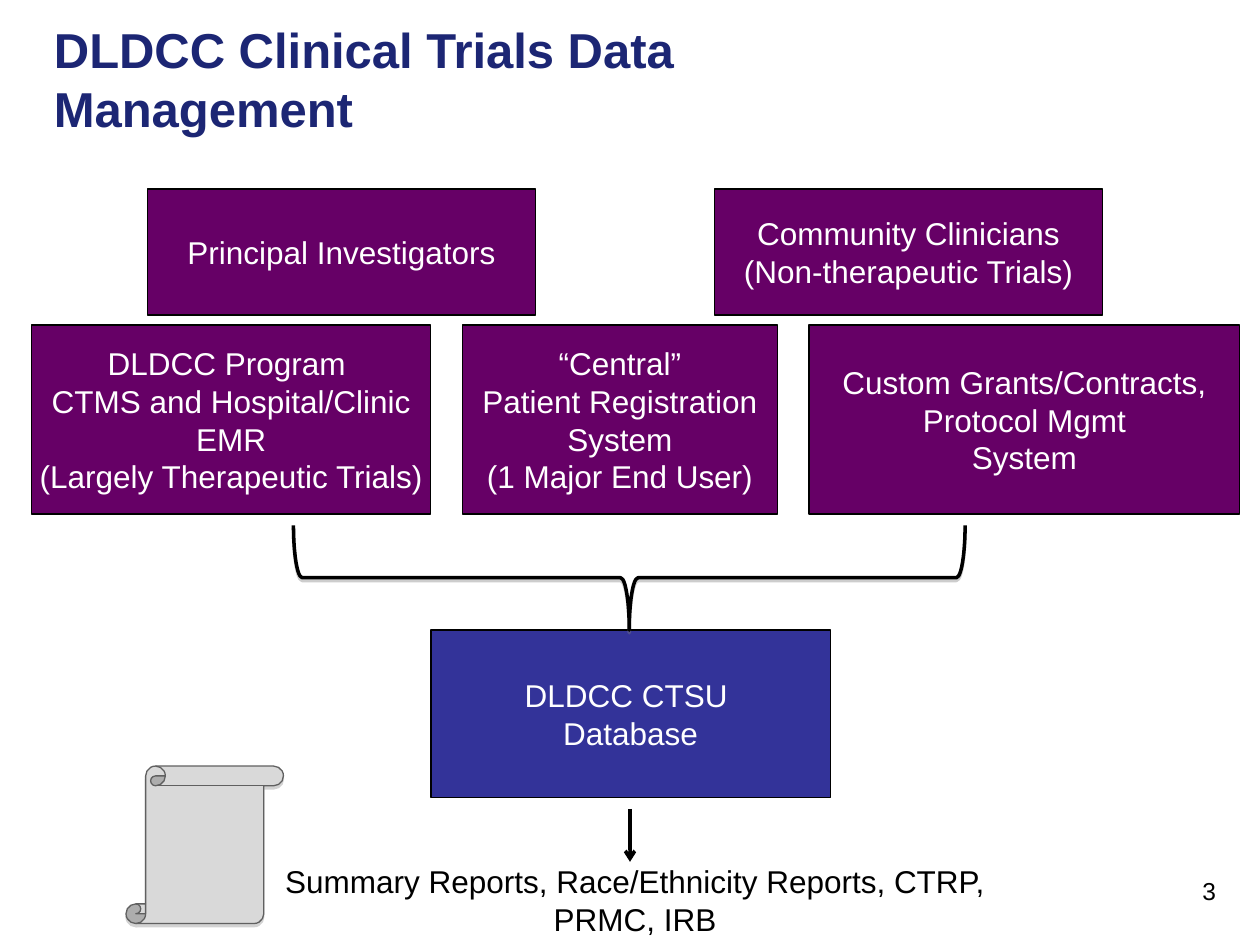
from lxml.etree import SubElement
from pptx import Presentation
from pptx.dml.color import RGBColor
from pptx.enum.shapes import MSO_CONNECTOR, MSO_SHAPE
from pptx.enum.text import MSO_ANCHOR, PP_ALIGN
from pptx.oxml.ns import qn
from pptx.util import Inches, Pt

NAVY = RGBColor(0x1C, 0x26, 0x74)
PURPLE = RGBColor(0x66, 0x00, 0x66)
BLUE = RGBColor(0x33, 0x33, 0x99)
WHITE = RGBColor(0xFF, 0xFF, 0xFF)
BLACK = RGBColor(0x00, 0x00, 0x00)
PAPER = RGBColor(0xD9, 0xD9, 0xD9)
PAPER_EDGE = RGBColor(0x60, 0x60, 0x60)

# Content: rows of boxes as (top, height, fill, [(left, width, lines), ...])
BOX_ROWS = [
    (1.5, 1, PURPLE, [
        (1.17, 3.08, ["Principal Investigators"]),
        (5.67, 3.08, ["Community Clinicians", "(Non-therapeutic Trials)"]),
    ]),
    (2.58, 1.5, PURPLE, [
        (0.25, 3.17, ["DLDCC Program ", "CTMS and Hospital/Clinic", "EMR",
                      "(Largely Therapeutic Trials)"]),
        (3.67, 2.5, ["“Central”", "Patient Registration", "System",
                     "(1 Major End User)"]),
        (6.42, 3.42, ["Custom Grants/Contracts,", "Protocol Mgmt", "System"]),
    ]),
    (5, 1.33, BLUE, [(3.42, 3.17, ["DLDCC CTSU ", "Database"])]),
]

# Text boxes: (place, lines, alignment, anchor, font)
TEXTS = [
    ((0.33, 0, 7.5, 1.25), ["DLDCC Clinical Trials Data Management"],
     PP_ALIGN.LEFT, MSO_ANCHOR.MIDDLE, {"size": Pt(28), "bold": True, "color": NAVY}),
    ((2.08, 6.79, 5.92, 0.7),
     ["Summary Reports, Race/Ethnicity Reports, CTRP,", "PRMC, IRB"],
     PP_ALIGN.CENTER, MSO_ANCHOR.TOP, {"size": Pt(18), "color": BLACK}),
    ((7.42, 6.9, 2.33, 0.52), ["3"],
     PP_ALIGN.RIGHT, MSO_ANCHOR.TOP, {"size": Pt(14), "color": BLACK}),
]
BOX_FONT = {"size": Pt(18), "color": WHITE}


def write_lines(shape, lines, alignment, anchor, font, wrap=True):
    frame = shape.text_frame
    frame.word_wrap = wrap
    frame.vertical_anchor = anchor
    frame.text = "\n".join(lines)
    for paragraph in frame.paragraphs:
        paragraph.alignment = alignment
        paragraph.font.name = "Arial"
        for name, value in font.items():
            if name == "color":
                paragraph.font.color.rgb = value
            else:
                setattr(paragraph.font, name, value)


def add_styled_shape(slide, kind, place, fill, line_color, line_width):
    shape = slide.shapes.add_shape(kind, *map(Inches, place))
    shape.shadow.inherit = False
    if fill is None:
        shape.fill.background()
    else:
        shape.fill.solid()
        shape.fill.fore_color.rgb = fill
    shape.line.color.rgb = line_color
    shape.line.width = Pt(line_width)
    return shape


def drop_shadow(shape, distance, opacity):
    effects = shape.element.spPr.find(qn("a:effectLst"))
    shadow = SubElement(effects, qn("a:outerShdw"), blurRad="0",
                        dist=str(Pt(distance)), dir="5400000", rotWithShape="0")
    color = SubElement(shadow, qn("a:srgbClr"), val="808080")
    SubElement(color, qn("a:alpha"), val=str(opacity * 1000))


def main():
    presentation = Presentation()
    presentation.slide_width, presentation.slide_height = Inches(10), Inches(7.5)
    slide = presentation.slides.add_slide(presentation.slide_layouts[6])

    # Title, report list and slide number
    for place, lines, alignment, anchor, font in TEXTS:
        text_box = slide.shapes.add_textbox(*map(Inches, place))
        write_lines(text_box, lines, alignment, anchor, font)

    # Boxes for people, systems and the database
    for top, height, fill, boxes in BOX_ROWS:
        for left, width, lines in boxes:
            box = add_styled_shape(slide, MSO_SHAPE.RECTANGLE,
                                   (left, top, width, height), fill, BLACK, 0.75)
            write_lines(box, lines, PP_ALIGN.CENTER, MSO_ANCHOR.MIDDLE,
                        BOX_FONT, wrap=False)

    # Brace gathering the systems into the database
    brace = add_styled_shape(slide, MSO_SHAPE.LEFT_BRACE,
                             (4.58, 1.92, 0.83, 5.33), None, BLACK, 2)
    brace.rotation = 270
    drop_shadow(brace, 1.6, 38)

    # Scroll standing for the reports
    scroll = add_styled_shape(slide, MSO_SHAPE.VERTICAL_SCROLL,
                              (1, 6.08, 1.25, 1.25), PAPER, PAPER_EDGE, 0.75)
    drop_shadow(scroll, 1.8, 35)

    # Arrow from the database to the reports
    arrow = slide.shapes.add_connector(MSO_CONNECTOR.STRAIGHT, Inches(5),
                                       Inches(6.42), Inches(5), Inches(6.84))
    arrow.line.color.rgb = BLACK
    arrow.line.width = Pt(2)
    SubElement(arrow.line._get_or_add_ln(), qn("a:tailEnd"), type="arrow")
    SubElement(arrow.element.spPr, qn("a:effectLst"))

    presentation.save("out.pptx")


if __name__ == "__main__":
    main()
